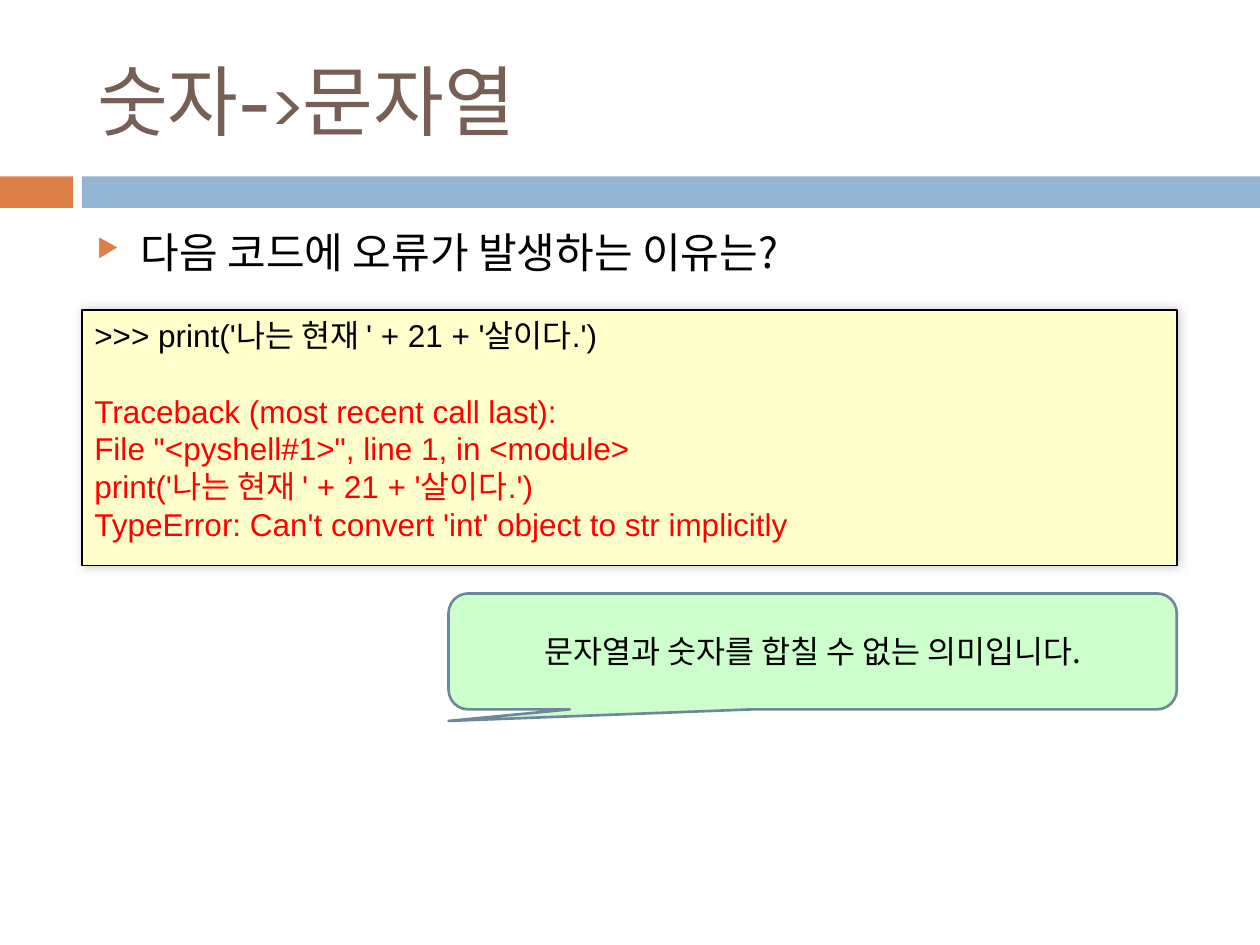
from lxml import etree
from pptx import Presentation
from pptx.dml.color import RGBColor
from pptx.enum.shapes import MSO_SHAPE
from pptx.enum.text import MSO_ANCHOR, PP_ALIGN
from pptx.oxml.ns import qn
from pptx.util import Inches, Pt

KOREAN = "Noto Sans CJK KR"
LEFT, RIGHT = 0.65, 9.34
CODE = "print('나는 현재 ' + 21 + '살이다.')"
CODE_LINES = [
    (">>> " + CODE, "000000"),
    ("", "000000"),
    ("Traceback (most recent call last):", "FF0000"),
    ('File "<pyshell#1>", line 1, in <module>', "FF0000"),
    (CODE, "FF0000"),
    ("TypeError: Can't convert 'int' object to str implicitly", "FF0000"),
]


def rgb(value):
    return RGBColor.from_string(value)


def add_xml(parent, tag, **attrs):
    return etree.SubElement(parent, qn(tag), attrs)


def add_text(p, text, size, color, font=KOREAN):
    r = p.add_run()
    r.text = text
    for name, value in {"size": Pt(size), "name": font, "bold": False}.items():
        setattr(r.font, name, value)
    r.font.color.rgb = rgb(color)
    add_xml(r.font._element, "a:ea", typeface=KOREAN)


def set_frame(tf, anchor):
    for name, value in {"word_wrap": True, "vertical_anchor": anchor}.items():
        setattr(tf, name, value)


def add_box(s, box, kind, fill, line=None, width=1):
    sp = s.shapes.add_shape(kind, *map(Inches, box))
    sp.shadow.inherit = False
    sp.fill.solid()
    sp.fill.fore_color.rgb = rgb(fill)
    if line:
        sp.line.color.rgb = rgb(line)
        sp.line.width = Pt(width)
    else:
        sp.line.fill.background()
    return sp


def add_header(s, box):
    # Title above a two-coloured band
    x, y, w, h = box
    title = s.shapes.title
    place = {"left": 0.67, "top": y + 0.25, "width": 8.92, "height": 1.08}
    for name, value in place.items():
        setattr(title, name, Inches(value))
    set_frame(title.text_frame, MSO_ANCHOR.MIDDLE)
    p = title.text_frame.paragraphs[0]
    p.alignment = PP_ALIGN.LEFT
    add_text(p, "숫자->문자열", 44, "775F55", "Cabin")
    band = 0.25
    for left, right, color in [(x, 0.58, "DD8047"), (LEFT, x + w, "94B6D2")]:
        add_box(s, (left, y + h - band, right - left, band), MSO_SHAPE.RECTANGLE, color)


def add_question(s, box):
    # Bulleted question
    tf = s.shapes.add_textbox(*map(Inches, box)).text_frame
    set_frame(tf, MSO_ANCHOR.TOP)
    p = tf.paragraphs[0]
    pPr = p._p.get_or_add_pPr()
    pPr.set("marL", str(Inches(0.35)))
    pPr.set("indent", str(-Inches(0.35)))
    add_xml(add_xml(pPr, "a:buClr"), "a:srgbClr", val="DD8047")
    add_xml(pPr, "a:buSzPct", val="60000")
    add_xml(pPr, "a:buChar", char="▶")
    add_text(p, "다음 코드에 오류가 발생하는 이유는?", 24, "000000")


def add_code(s, box):
    # Code panel with a soft shadow
    sp = add_box(s, box, MSO_SHAPE.RECTANGLE, "FFFFCC", "000000")
    effects = sp._element.spPr.find(qn("a:effectLst"))
    shadow = add_xml(effects, "a:outerShdw", blurRad=str(Pt(6)), dist="0",
                     dir="18900000", algn="tl", rotWithShape="0")
    color = add_xml(shadow, "a:srgbClr", val="000000")
    add_xml(color, "a:alpha", val="20000")
    tf = sp.text_frame
    set_frame(tf, MSO_ANCHOR.TOP)
    for i, (text, color) in enumerate(CODE_LINES):
        p = tf.add_paragraph() if i else tf.paragraphs[0]
        p.alignment = PP_ALIGN.LEFT
        p.line_spacing = Pt(21.6)
        p.font.size = Pt(18)
        if text:
            add_text(p, text, 18, color, "Arial")


def add_answer(s, box):
    # Speech bubble
    sp = add_box(s, box, MSO_SHAPE.ROUNDED_RECTANGULAR_CALLOUT, "CCFFCC", "6D879B", 1.5)
    for i, value in enumerate([-0.5, 0.6, 0.17]):
        sp.adjustments[i] = value
    set_frame(sp.text_frame, MSO_ANCHOR.MIDDLE)
    p = sp.text_frame.paragraphs[0]
    p.alignment = PP_ALIGN.CENTER
    add_text(p, "문자열과 숫자를 합칠 수 없는 의미입니다.", 18, "000000")


def main():
    prs = Presentation()
    prs.slide_width, prs.slide_height = Inches(10), Inches(7.5)
    s = prs.slides.add_slide(prs.slide_layouts[5])
    add_header(s, (0, 0, 10, 1.65))
    add_question(s, (0.67, 1.75, 8.92, 0.6))
    add_code(s, (LEFT, 2.46, RIGHT - LEFT, 2.03))
    add_answer(s, (3.56, 4.71, RIGHT - 3.56, 0.92))
    prs.save("out.pptx")


if __name__ == "__main__":
    main()
